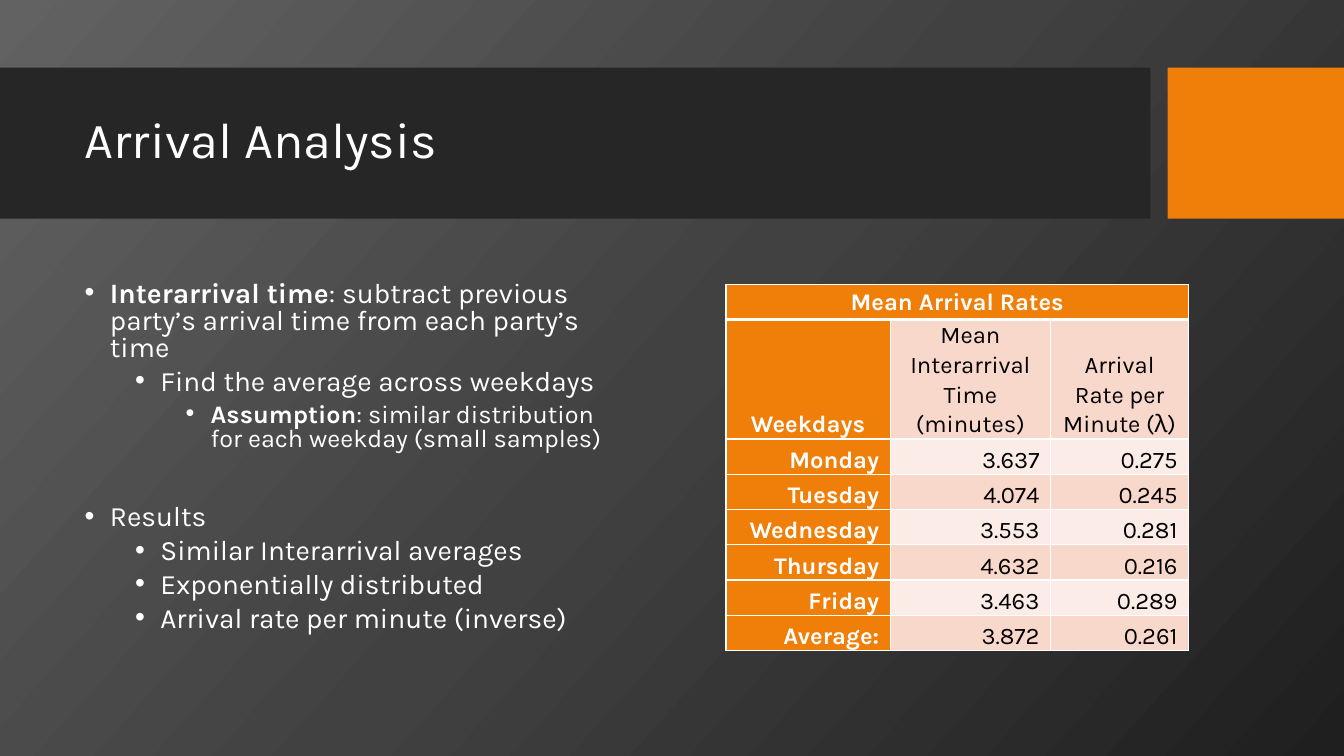
import copy

import pptx
import pptx.dml.color
import pptx.enum.shapes
import pptx.enum.text
import pptx.oxml
import pptx.oxml.ns
import pptx.util

Inches = pptx.util.Inches
Pt = pptx.util.Pt
qn = pptx.oxml.ns.qn
ALIGN = pptx.enum.text.PP_ALIGN
ANCHOR = pptx.enum.text.MSO_ANCHOR

FONT = "Karla"
COLORS = {
    "bg_light": "626262", "bg_mid": "414141", "bg_dark": "1F1F1F",
    "band": "262626", "accent": "F07F09", "white": "FFFFFF",
    "black": "000000", "row_dark": "F9D8CC", "row_light": "FCECE7",
}

# (level, space before in points, [(text, bold), ...])
BULLETS = [
    (0, 0, [("Interarrival time", True),
            (": subtract previous party’s arrival time from each party’s time", False)]),
    (1, 5, [("Find the average across weekdays", False)]),
    (2, 5, [("Assumption", True),
            (": similar distribution for each weekday (small samples)", False)]),
    (0, 38, [("Results", False)]),
    (1, 5, [("Similar Interarrival averages", False)]),
    (1, 5, [("Exponentially distributed", False)]),
    (1, 5, [("Arrival rate per minute (inverse)", False)]),
]
LEVEL_SIZES = [20, 20, 18]

RATES = [
    ("Mean Arrival Rates", "", ""),
    ("Weekdays", "Mean Interarrival Time (minutes)", "Arrival Rate per Minute (λ)"),
    ("Monday", "3.637", "0.275"),
    ("Tuesday", "4.074", "0.245"),
    ("Wednesday", "3.553", "0.281"),
    ("Thursday", "4.632", "0.216"),
    ("Friday", "3.463", "0.289"),
    ("Average:", "3.872", "0.261"),
]
COL_WIDTHS = [1.63, 1.59, 1.37]
ROW_HEIGHTS = [0.35, 1.18] + [0.35] * 6


def rgb(name):
    return pptx.dml.color.RGBColor.from_string(COLORS[name])


def add_run(p, text, size, color="white", bold=False):
    r = p.add_run()
    r.text = text
    r.font.name = FONT
    r.font.size = Pt(size)
    r.font.bold = bold
    r.font.color.rgb = rgb(color)


def place(sp, box):
    sp.left, sp.top, sp.width, sp.height = (Inches(v) for v in box)


def set_background(slide):
    fill = slide.background.fill
    fill.gradient()
    fill.gradient_angle = 318
    stops = slide._element.find(".//" + qn("a:gsLst"))
    stops.append(copy.deepcopy(stops[0]))
    names = ["bg_light", "bg_mid", "bg_dark"]
    for stop, name, position in zip(fill.gradient_stops, names, [0, 0.5, 1]):
        stop.color.rgb = rgb(name)
        stop.position = position


def add_block(slide, box, color):
    """Add a plain rectangle behind the placeholders."""
    sp = slide.shapes.add_shape(pptx.enum.shapes.MSO_SHAPE.RECTANGLE,
                                *(Inches(v) for v in box))
    sp.shadow.inherit = False
    sp.fill.solid()
    sp.fill.fore_color.rgb = rgb(color)
    sp.line.fill.background()
    slide.shapes._spTree.insert(2, sp._element)


def add_title_band(slide, box, text):
    left, top, width, height = box
    block_width, gap = 1.75, 0.17
    band_width = width - block_width - gap
    add_block(slide, (left, top, band_width, height), "band")
    add_block(slide, (left + band_width + gap, top, block_width, height), "accent")

    title = slide.shapes.title
    place(title, (left + 0.74, top + 0.15, 10.51, 1.18))
    tf = title.text_frame
    tf.auto_size = pptx.enum.text.MSO_AUTO_SIZE.NONE
    tf.vertical_anchor = ANCHOR.MIDDLE
    p = tf.paragraphs[0]
    p.alignment = ALIGN.LEFT
    p.line_spacing = 0.9
    add_run(p, text, 36)


def fill_bullets(body, box):
    place(body, box)
    tf = body.text_frame
    tf.auto_size = pptx.enum.text.MSO_AUTO_SIZE.NONE
    tf.word_wrap = True
    for i, (level, before, runs) in enumerate(BULLETS):
        p = tf.add_paragraph() if i else tf.paragraphs[0]
        p.level = level
        p.line_spacing = 0.8
        p.space_before = Pt(before)
        p.space_after = Pt(0)
        pPr = p._p.get_or_add_pPr()
        pPr.set("marL", str(Inches(0.25 + 0.5 * level)))
        pPr.set("indent", str(Inches(-0.25)))
        font = pptx.oxml.parse_xml(
            f'<a:buFont {pptx.oxml.ns.nsdecls("a")} typeface="Arial"/>')
        bullet = pptx.oxml.parse_xml(
            f'<a:buChar {pptx.oxml.ns.nsdecls("a")} char="•"/>')
        pPr.extend([font, bullet])
        for text, bold in runs:
            add_run(p, text, LEVEL_SIZES[level], bold=bold)


def set_borders(cell, widths):
    """Draw white borders; widths maps the sides L, R, T, B to points."""
    tcPr = cell._tc.get_or_add_tcPr()
    for i, side in enumerate("LRTB"):
        tcPr.insert(i, pptx.oxml.parse_xml(
            f'<a:ln{side} {pptx.oxml.ns.nsdecls("a")} w="{Pt(widths[side])}">'
            f'<a:solidFill><a:srgbClr val="{COLORS["white"]}"/></a:solidFill>'
            f'</a:ln{side}>'))


def format_cell(cell, row, col, text):
    heading = row == 0 or col == 0
    if heading:
        fill = "accent"
    else:
        fill = "row_dark" if row % 2 else "row_light"
    cell.fill.solid()
    cell.fill.fore_color.rgb = rgb(fill)
    set_borders(cell, {"L": 1, "R": 1, "T": 3 if row == 1 else 1,
                       "B": 3 if row == 0 else 1})
    cell.vertical_anchor = ANCHOR.BOTTOM if row else ANCHOR.MIDDLE
    cell.margin_left = cell.margin_right = Inches(0.11)
    cell.margin_top = cell.margin_bottom = 0
    if text:
        p = cell.text_frame.paragraphs[0]
        p.alignment = ALIGN.CENTER if row < 2 else ALIGN.RIGHT
        p.line_spacing = 1.07
        add_run(p, text, 17, "white" if heading else "black", heading)


def add_rates_table(slide, left, top):
    frame = slide.shapes.add_table(
        len(RATES), len(COL_WIDTHS), Inches(left), Inches(top),
        Inches(sum(COL_WIDTHS)), Inches(sum(ROW_HEIGHTS)))
    table = frame.table
    for column, width in zip(table.columns, COL_WIDTHS):
        column.width = Inches(width)
    for row, height in zip(table.rows, ROW_HEIGHTS):
        row.height = Inches(height)
    for i, values in enumerate(RATES):
        for j, text in enumerate(values):
            format_cell(table.cell(i, j), i, j, text)
    table.cell(0, 0).merge(table.cell(0, 2))


def main():
    prs = pptx.Presentation()
    prs.slide_width = Inches(13.33)
    prs.slide_height = Inches(7.5)
    slide = prs.slides.add_slide(prs.slide_layouts[1])
    set_background(slide)
    add_title_band(slide, (0, 0.67, 13.33, 1.5), "Arrival Analysis")
    fill_bullets(slide.placeholders[1], (0.74, 2.75, 5.39, 3.79))
    add_rates_table(slide, 7.2, 2.82)
    prs.save("out.pptx")


if __name__ == "__main__":
    main()
